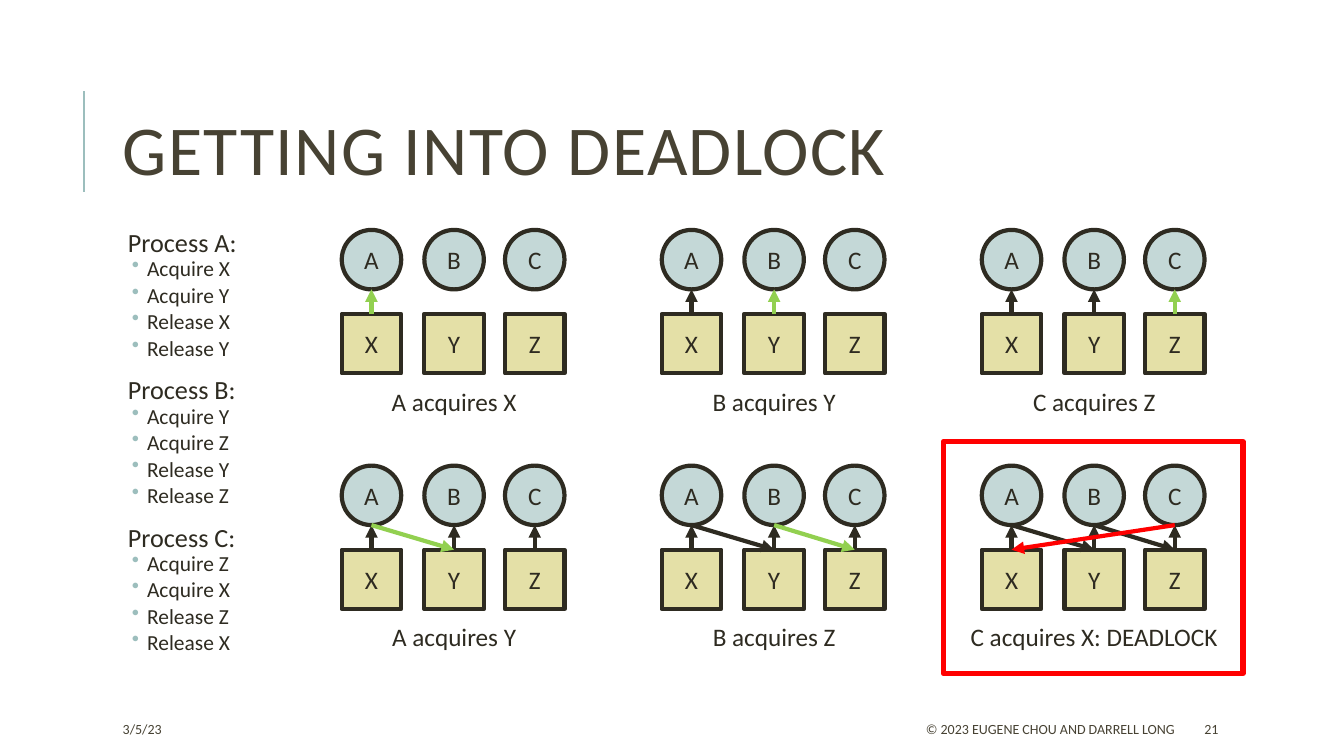
from lxml.etree import SubElement
from pptx import Presentation
from pptx.dml.color import RGBColor
from pptx.enum.shapes import MSO_CONNECTOR, MSO_SHAPE
from pptx.enum.text import MSO_ANCHOR, PP_ALIGN
from pptx.oxml.ns import qn
from pptx.util import Pt

INK = RGBColor(0x2E, 0x2B, 0x21)
BROWN = RGBColor(0x47, 0x42, 0x33)
TEAL = RGBColor(0x9C, 0xBE, 0xBD)
PALE_TEAL = RGBColor(0xC4, 0xD8, 0xD7)
SAND = RGBColor(0xE4, 0xE0, 0xA7)
GREEN = RGBColor(0x92, 0xD0, 0x50)
RED = RGBColor(0xFF, 0x00, 0x00)

NODE_SIZE = 42.5
NODE_OFFSETS = (0, 59, 116.6)
RESOURCE_DROP = 60
PANEL_LEFT, PANEL_STEP = 244.1, 228.6
PANEL_TOP, ROW_STEP = 164.2, 168.4
CAPTION_CENTER, CAPTION_DROP = 80.3, 108

PROCESSES = {
    "Process A:": ("Acquire X", "Acquire Y", "Release X", "Release Y"),
    "Process B:": ("Acquire Y", "Acquire Z", "Release Y", "Release Z"),
    "Process C:": ("Acquire Z", "Acquire X", "Release Z", "Release X"),
}

PANELS = (
    (
        ("A acquires X", 118.8, ("XA",), GREEN),
        ("B acquires Y", 118.8, ("XA", "YB"), GREEN),
        ("C acquires Z", 118.8, ("XA", "YB", "ZC"), GREEN),
    ),
    (
        ("A acquires Y", 118.8, ("XA", "YB", "ZC", "AY"), GREEN),
        ("B acquires Z", 118.8, ("XA", "YB", "ZC", "AY", "BZ"), GREEN),
        ("C acquires X: DEADLOCK", 211.7,
         ("XA", "YB", "ZC", "AY", "BZ", "CX"), RED),
    ),
)


class SlideBuilder:
    font = "Calibri"

    def __init__(self, page):
        self.page = page

    def add_span(self, para, text, size, color, spacing=0):
        span = para.add_run()
        span.text = text
        span.font.name = self.font
        span.font.size = Pt(size)
        span.font.color.rgb = color
        if spacing:
            span._r.get_or_add_rPr().set("spc", str(spacing * 100))

    def text_box(self, left, top, width, height, anchor=MSO_ANCHOR.TOP):
        box = self.page.shapes.add_textbox(Pt(left), Pt(top), Pt(width), Pt(height))
        box.text_frame.word_wrap = True
        box.text_frame.vertical_anchor = anchor
        return box.text_frame

    def label(self, text, left, top, width, height, size, color,
              align=PP_ALIGN.LEFT, anchor=MSO_ANCHOR.MIDDLE, spacing=0):
        para = self.text_box(left, top, width, height, anchor).paragraphs[0]
        para.alignment = align
        self.add_span(para, text, size, color, spacing)

    def node(self, preset, text, left, top, fill):
        shape = self.page.shapes.add_shape(
            preset, Pt(left), Pt(top), Pt(NODE_SIZE), Pt(NODE_SIZE))
        shape.shadow.inherit = False
        shape.fill.solid()
        shape.fill.fore_color.rgb = fill
        shape.line.color.rgb = INK
        shape.line.width = Pt(3)
        frame = shape.text_frame
        frame.margin_left = frame.margin_right = 0
        frame.vertical_anchor = MSO_ANCHOR.MIDDLE
        frame.paragraphs[0].alignment = PP_ALIGN.CENTER
        self.add_span(frame.paragraphs[0], text, 18, INK)

    def line(self, start, end, color, width, arrow=False):
        connector = self.page.shapes.add_connector(
            MSO_CONNECTOR.STRAIGHT, *(Pt(value) for value in (*start, *end)))
        connector.line.color.rgb = color
        connector.line.width = Pt(width)
        if arrow:
            outline = connector.line._get_or_add_ln()
            SubElement(outline, qn("a:tailEnd"), type="triangle")
        SubElement(connector._element.spPr, qn("a:effectLst"))

    def frame(self, left, top, width, height, color, weight):
        shape = self.page.shapes.add_shape(
            MSO_SHAPE.RECTANGLE, Pt(left), Pt(top), Pt(width), Pt(height))
        shape.shadow.inherit = False
        shape.fill.background()
        shape.line.color.rgb = color
        shape.line.width = Pt(weight)

    def list_item(self, para, text, size, before, after, margin, hanging=0):
        properties = para._p.get_or_add_pPr()
        properties.set("marL", str(Pt(margin)))
        properties.set("indent", str(-Pt(hanging)))
        if hanging:
            para.level = 1
            bullet_color = SubElement(properties, qn("a:buClr"))
            SubElement(bullet_color, qn("a:srgbClr"), val=str(TEAL))
            SubElement(properties, qn("a:buChar"), char="•")
        para.line_spacing = 0.7
        para.space_before = Pt(before)
        para.space_after = Pt(after)
        self.add_span(para, text, size, INK)

    def process_list(self, left, top, width, height):
        frame = self.text_box(left, top, width, height)
        frame.margin_left = frame.margin_right = Pt(3.6)
        frame.margin_top = frame.margin_bottom = Pt(3.6)
        for index, (process, steps) in enumerate(PROCESSES.items()):
            para = frame.add_paragraph() if index else frame.paragraphs[0]
            self.list_item(para, process, 18.7, 12 if index else 0, 2, 7.2)
            for step in steps:
                self.list_item(frame.add_paragraph(), step, 15.3, 2, 4, 20.9, 10.8)

    def panel(self, left, top, caption, caption_width, arrows, newest_color):
        ports = {}
        for offset, process, resource in zip(NODE_OFFSETS, "ABC", "XYZ"):
            x = left + offset
            self.node(MSO_SHAPE.OVAL, process, x, top, PALE_TEAL)
            self.node(MSO_SHAPE.RECTANGLE, resource, x, top + RESOURCE_DROP, SAND)
            ports[process] = (x + NODE_SIZE / 2, top + NODE_SIZE)
            ports[resource] = (x + NODE_SIZE / 2, top + RESOURCE_DROP)
        for start, end in arrows:
            color = newest_color if start + end == arrows[-1] else INK
            self.line(ports[start], ports[end], color, 3, arrow=True)
        self.label(caption, left + CAPTION_CENTER - caption_width / 2,
                   top + CAPTION_DROP, caption_width, 28.8, 18, INK,
                   PP_ALIGN.CENTER, MSO_ANCHOR.TOP)


def main():
    deck = Presentation()
    deck.slide_width, deck.slide_height = Pt(960), Pt(540)
    builder = SlideBuilder(deck.slides.add_slide(deck.slide_layouts[6]))

    builder.line((60, 136.8), (60, 64.8), TEAL, 1.5)
    builder.label("GETTING INTO DEADLOCK", 80.6, 46.1, 765.4, 118.1, 50, BROWN,
                  spacing=1)
    builder.process_list(80.6, 164.2, 163.4, 316.8)

    for row, panels in enumerate(PANELS):
        for column, panel in enumerate(panels):
            builder.panel(PANEL_LEFT + column * PANEL_STEP,
                          PANEL_TOP + row * ROW_STEP, *panel)
    builder.frame(673.9, 315.4, 213.9, 165.6, RED, 4)

    builder.label("3/5/23", 80.6, 509.8, 169.9, 21.6, 10, BROWN)
    builder.label("© 2023 EUGENE CHOU AND DARRELL LONG", 381.6, 509.8, 464.4, 21.6,
                  10, BROWN, PP_ALIGN.RIGHT)
    builder.label("21", 853.2, 509.8, 76.3, 21.6, 10, BROWN)
    deck.save("out.pptx")


if __name__ == "__main__":
    main()
